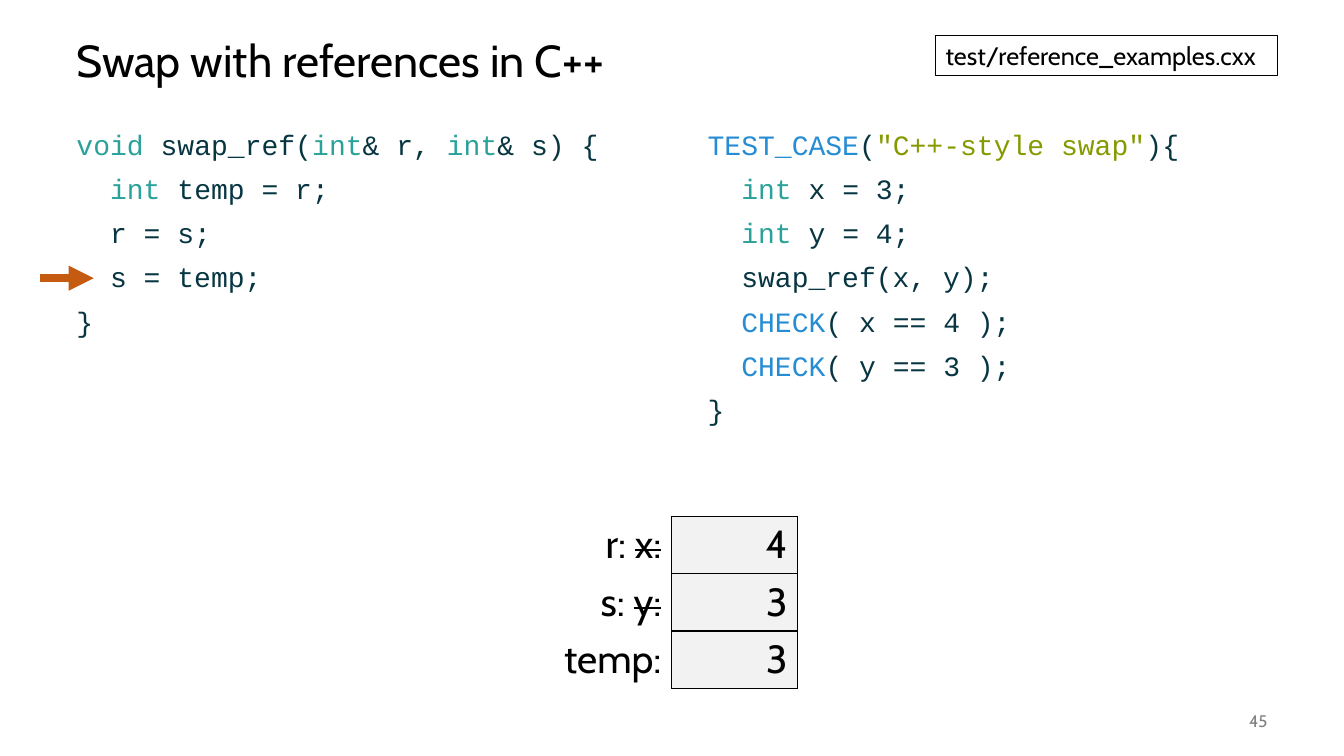
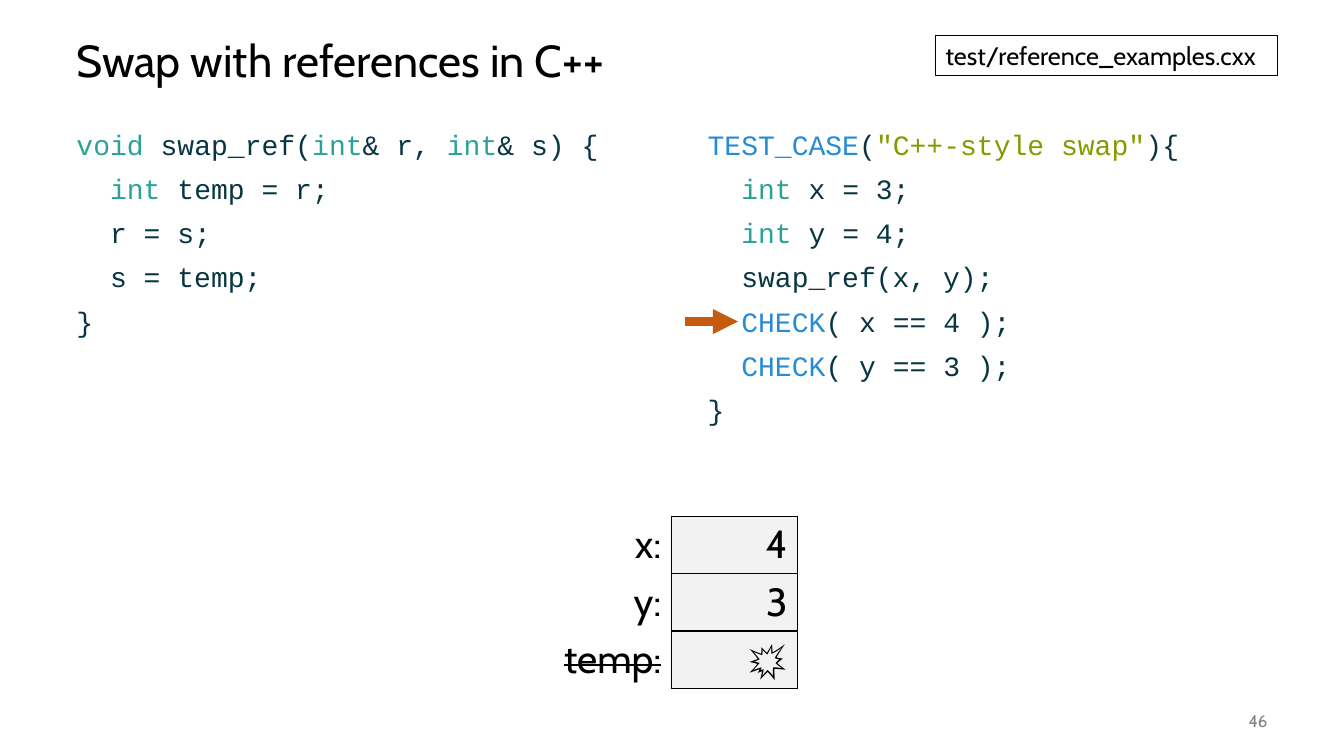
"""Build two slides that step through a C++ swap with references."""
from lxml.etree import SubElement
from pptx import Presentation
from pptx.dml.color import RGBColor
from pptx.enum.shapes import MSO_CONNECTOR, MSO_SHAPE
from pptx.enum.text import MSO_ANCHOR, MSO_AUTO_SIZE, PP_ALIGN
from pptx.oxml.ns import qn
from pptx.util import Inches, Pt

BLACK, GRAY, CELL_GRAY, ORANGE = "000000", "808080", "F2F2F2", "C55A11"
PLAIN, TYPE, MACRO, STRING = "073642", "2AA299", "268CD3", "869A00"
TEXT_FONT, CODE_FONT = "Cabin", "Courier New"
LEFT, RIGHT = 0.66, 12.67
CODE_TOP, CODE_WIDTH, CODE_HEIGHT = 1.25, 5.75, 5.5
TABLE_LEFT, TABLE_TOP, COLUMN_WIDTH, ROW_HEIGHT = 5.41, 5.12, 1.25, 0.57
ARROW_LENGTH = 0.53

SWAP_CODE = [
    [("void ", TYPE), ("swap_ref(", PLAIN), ("int", TYPE), ("& r, ", PLAIN),
     ("int", TYPE), ("& s) {", PLAIN)],
    [("  int ", TYPE), ("temp = r;", PLAIN)],
    [("  r = s;", PLAIN)],
    [("  s = temp;", PLAIN)],
    [("}", PLAIN)],
]
TEST_CODE = [
    [("TEST_CASE", MACRO), ("(", PLAIN), ('"C++‑style swap"', STRING), ("){", PLAIN)],
    [("  int ", TYPE), ("x = 3;", PLAIN)],
    [("  int ", TYPE), ("y = 4;", PLAIN)],
    [("  swap_ref(x, y);", PLAIN)],
    [("  CHECK", MACRO), ("( x == 4 );", PLAIN)],
    [("  CHECK", MACRO), ("( y == 3 );", PLAIN)],
    [("}", PLAIN)],
]
CODE_COLUMNS = [(LEFT, SWAP_CODE), (RIGHT - CODE_WIDTH, TEST_CODE)]

STEPS = [
    {"number": "45", "arrow": (0.4, 2.76),
     "variables": [("r: ", "x:", "4"), ("s: ", "y:", "3"), ("temp:", "", "3")]},
    {"number": "46", "arrow": (6.79, 3.19),
     "variables": [("x:", "", "4"), ("y:", "", "3"), ("", "temp:", "💥")]},
]


def color(hex_code):
    return RGBColor.from_string(hex_code)


def write(frame, lines, size, font=TEXT_FONT, align=PP_ALIGN.LEFT, spacing=1.0, before=0):
    frame.word_wrap = True
    for index, line in enumerate(lines):
        para = frame.add_paragraph() if index else frame.paragraphs[0]
        para.alignment = align
        para.line_spacing = spacing
        para.space_before = Pt(before if index else 0)
        for text, hex_code in line:
            span = para.add_run()
            span.text = text
            span.font.name = font
            span.font.size = Pt(size)
            span.font.bold = False
            span.font.color.rgb = color(hex_code)


deck = Presentation()
deck.slide_width, deck.slide_height = Inches(13.33), Inches(7.5)

for step in STEPS:
    page = deck.slides.add_slide(deck.slide_layouts[6])

    title = page.shapes.add_textbox(Inches(LEFT), Inches(0.25), Inches(12), Inches(0.75))
    title.text_frame.vertical_anchor = MSO_ANCHOR.MIDDLE
    write(title.text_frame, [[("Swap with references in C++", BLACK)]], 32, spacing=0.9)

    for left, code in CODE_COLUMNS:
        box = page.shapes.add_textbox(
            Inches(left), Inches(CODE_TOP), Inches(CODE_WIDTH), Inches(CODE_HEIGHT))
        write(box.text_frame, code, 20, CODE_FONT, spacing=0.9, before=10)

    number = page.shapes.add_textbox(Inches(RIGHT - 1), Inches(6.95), Inches(1), Inches(0.4))
    number.text_frame.vertical_anchor = MSO_ANCHOR.MIDDLE
    write(number.text_frame, [[(step["number"], GRAY)]], 12, align=PP_ALIGN.RIGHT)

    variables = step["variables"]
    table = page.shapes.add_table(
        len(variables), 2, Inches(TABLE_LEFT), Inches(TABLE_TOP),
        Inches(2 * COLUMN_WIDTH), Inches(len(variables) * ROW_HEIGHT)).table
    table.first_row = table.horz_banding = False
    for row, (live, ended, value) in enumerate(variables):
        label_cell, value_cell = table.cell(row, 0), table.cell(row, 1)
        label = [(text, BLACK) for text in (live, ended) if text]
        write(label_cell.text_frame, [label], 28, align=PP_ALIGN.RIGHT)
        write(value_cell.text_frame, [[(value, BLACK)]], 28, align=PP_ALIGN.RIGHT)
        if ended:
            struck = label_cell.text_frame.paragraphs[0].runs[-1]
            struck.font._element.set("strike", "sngStrike")
        for cell, sides in ((label_cell, "R"), (value_cell, "LRTB")):
            for side in sides:
                border = SubElement(
                    cell._tc.get_or_add_tcPr(), qn("a:ln" + side), w=str(Pt(1)))
                fill = SubElement(border, qn("a:solidFill"))
                SubElement(fill, qn("a:srgbClr"), val=BLACK)
        label_cell.fill.background()
        value_cell.fill.solid()
        value_cell.fill.fore_color.rgb = color(CELL_GRAY)

    x, y = step["arrow"]
    arrow = page.shapes.add_connector(
        MSO_CONNECTOR.STRAIGHT, Inches(x), Inches(y), Inches(x + ARROW_LENGTH), Inches(y))
    arrow.line.color.rgb = color(ORANGE)
    arrow.line.width = Pt(6)
    SubElement(arrow.line._get_or_add_ln(), qn("a:tailEnd"), type="triangle")
    SubElement(arrow._element.spPr, qn("a:effectLst"))

    file_tag = page.shapes.add_shape(
        MSO_SHAPE.RECTANGLE, Inches(9.28), Inches(0.35), Inches(3.39), Inches(0.4))
    file_tag.shadow.inherit = False
    file_tag.fill.background()
    file_tag.line.color.rgb = color(BLACK)
    file_tag.line.width = Pt(0.75)
    file_tag.text_frame.vertical_anchor = MSO_ANCHOR.TOP
    file_tag.text_frame.auto_size = MSO_AUTO_SIZE.SHAPE_TO_FIT_TEXT
    write(file_tag.text_frame, [[("test/reference_examples.cxx", BLACK)]], 18)

deck.save("out.pptx")
